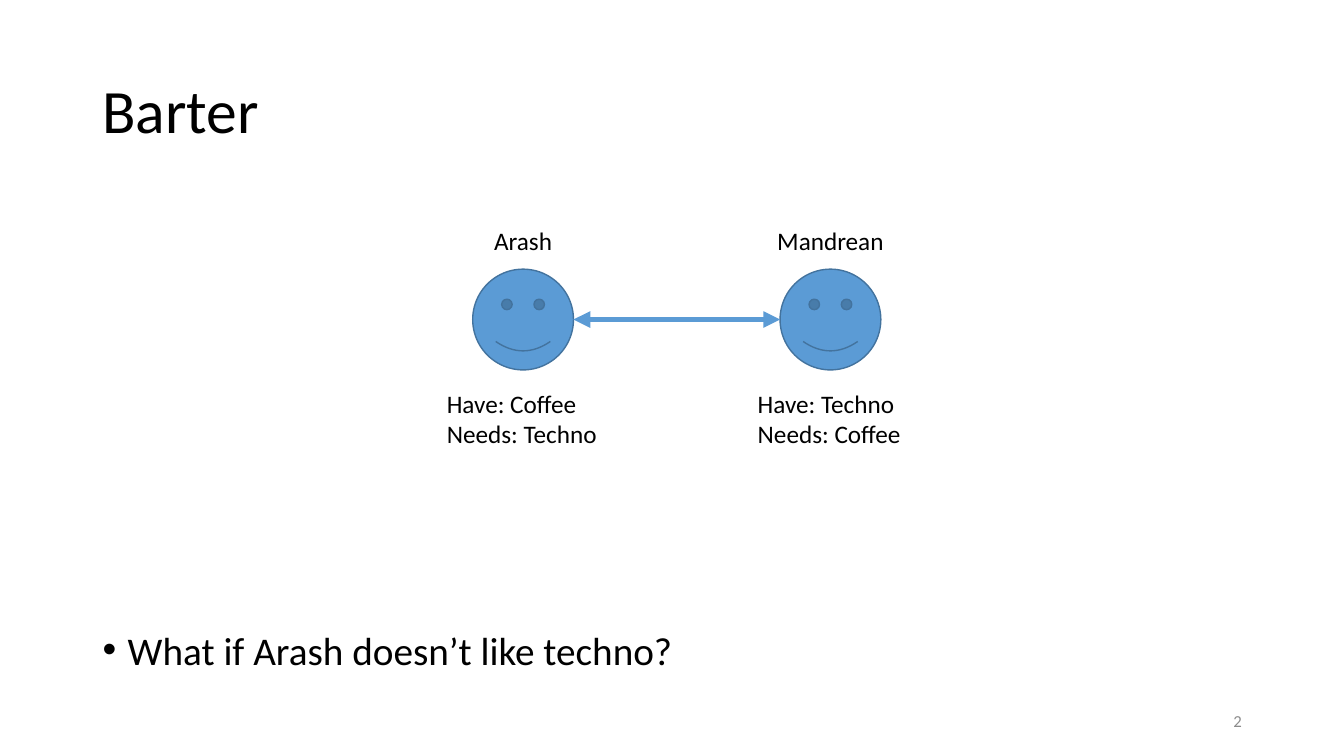
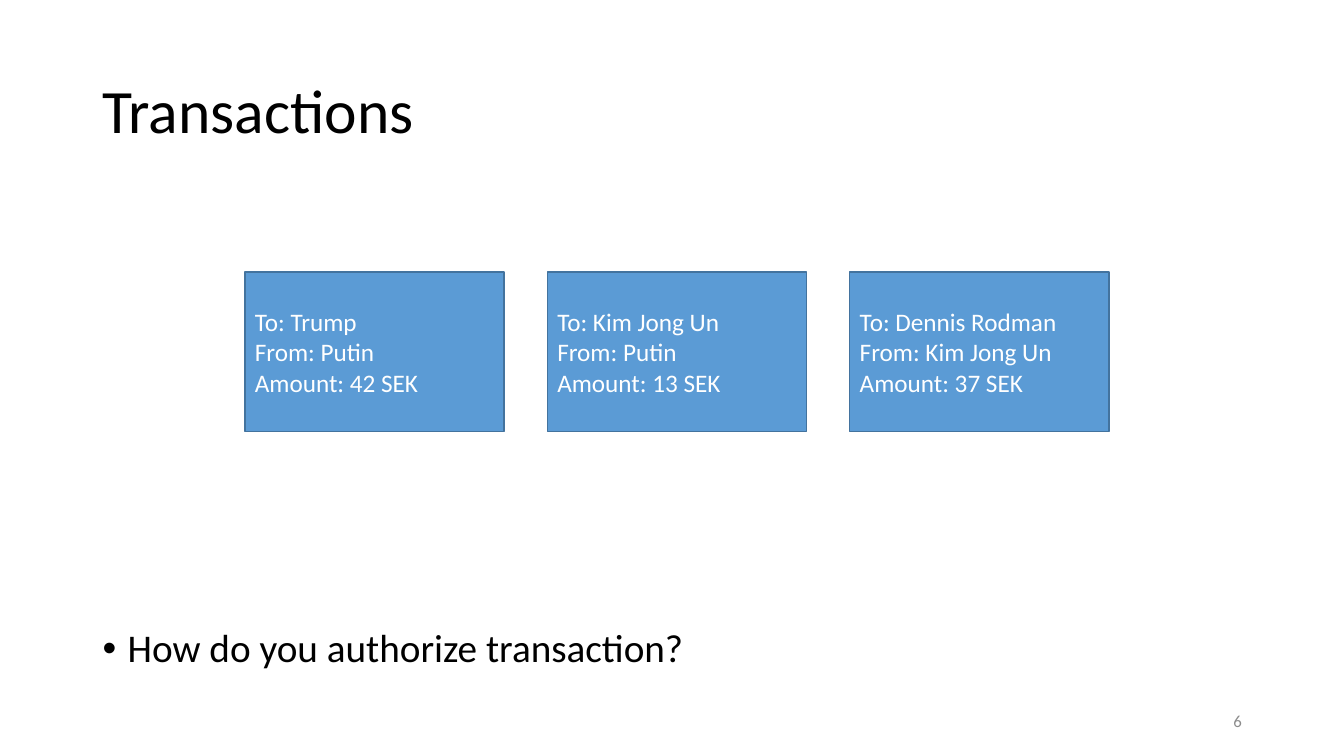
from lxml import etree
from pptx import Presentation
from pptx.dml.color import RGBColor
from pptx.enum.shapes import MSO_CONNECTOR, MSO_SHAPE
from pptx.enum.text import MSO_ANCHOR, MSO_AUTO_SIZE, PP_ALIGN
from pptx.oxml.ns import qn
from pptx.util import Inches, Pt

SMILEY, RECT = MSO_SHAPE.SMILEY_FACE, MSO_SHAPE.RECTANGLE
STRAIGHT = MSO_CONNECTOR.STRAIGHT
MIDDLE, TOP = MSO_ANCHOR.MIDDLE, MSO_ANCHOR.TOP
LEFT, CENTER, RIGHT = PP_ALIGN.LEFT, PP_ALIGN.CENTER, PP_ALIGN.RIGHT

FONT = "Calibri"
COLORS = {"text": "000000", "number": "8C8C8C", "fill": "5B9BD5",
          "line": "43739E", "light": "FFFFFF"}
rgb = {name: RGBColor.from_string(value) for name, value in COLORS.items()}

prs = Presentation()
prs.slide_width, prs.slide_height = Inches(13.33), Inches(7.5)


def box(left, top, width, height):
    """Turn percentages of the slide's size into lengths."""
    w, h = prs.slide_width, prs.slide_height
    return [int(share * size / 100)
            for share, size in zip((left, top, width, height), (w, h, w, h))]


def write(sp, lines, size, color="text", align=LEFT, anchor=TOP, spacing=1.0):
    """Fill a shape with one paragraph per line."""
    tf = sp.text_frame
    tf.word_wrap, tf.auto_size = True, MSO_AUTO_SIZE.NONE
    tf.vertical_anchor = anchor
    for i, line in enumerate(lines):
        p = tf.paragraphs[0] if i == 0 else tf.add_paragraph()
        p.alignment, p.line_spacing = align, spacing
        r = p.add_run()
        r.text = line
        r.font.name, r.font.size = FONT, Pt(size)
        r.font.color.rgb = rgb[color]
    return tf


# Title, question and number on every slide: question top, height, spacing
pages = [
    ("Barter", "What if Arash doesn’t like techno?", "2", 83.33, 6.8, 0.8),
    ("Transactions", "How do you authorize transaction?", "6", 82.53, 7.47, 0.9),
]
slides = []
for title, question, number, top, height, spacing in pages:
    s = prs.slides.add_slide(prs.slide_layouts[1])
    slides.append(s)

    sp = s.shapes.title
    sp.left, sp.top, sp.width, sp.height = box(6.88, 5.33, 86.25, 19.33)
    write(sp, [title], 44, anchor=MIDDLE, spacing=0.9)

    sp = s.placeholders[1]
    sp.left, sp.top, sp.width, sp.height = box(6.88, top, 86.25, height)
    p = write(sp, [question], 28, spacing=spacing).paragraphs[0]
    p.space_before = Pt(10)
    pPr = p._p.get_or_add_pPr()
    pPr.set("marL", str(Inches(0.25)))
    pPr.set("indent", str(Inches(-0.25)))
    etree.SubElement(pPr, qn("a:buFont")).set("typeface", "Arial")
    etree.SubElement(pPr, qn("a:buChar")).set("char", "•")

    sp = s.shapes.add_textbox(*box(70.65, 92.67, 22.5, 5.33))
    write(sp, [number], 12, "number", RIGHT, MIDDLE)

barter, transactions = slides

# Barter: two people with a name above and their goods below
people = [
    ("Arash", ["Have: Coffee", "Needs: Techno"], 12.83),
    ("Mandrean", ["Have: Techno", "Needs: Coffee"], 12.3),
]
FACE_LEFT, FACE_PITCH, FACE_W = 35.17, 22.87, 7.5
FACE_TOP, FACE_H = 35.6, 13.33
faces = []
for i, (name, goods, goods_w) in enumerate(people):
    left = FACE_LEFT + i * FACE_PITCH
    middle = left + FACE_W / 2
    face = barter.shapes.add_shape(SMILEY, *box(left, FACE_TOP, FACE_W, FACE_H))
    faces.append(face)

    sp = barter.shapes.add_textbox(*box(middle - 6, 29.2, 12, 5.33))
    write(sp, [name], 18, align=CENTER)
    sp = barter.shapes.add_textbox(*box(middle - goods_w / 2, 50.67, 15, 9.47))
    write(sp, goods, 18)

# Two-way arrow between the faces
a, b = faces
y = a.top + a.height // 2
arrow = barter.shapes.add_connector(STRAIGHT, a.left + a.width, y, b.left, y)
arrow.line.color.rgb = rgb["fill"]
arrow.line.width = Pt(4)
ln = arrow.line._get_or_add_ln()
for end in ("a:headEnd", "a:tailEnd"):
    etree.SubElement(ln, qn(end)).set("type", "triangle")
etree.SubElement(arrow._element.spPr, qn("a:effectLst"))

# Transactions: a row of three cards
payments = [
    ("Trump", "Putin", 42),
    ("Kim Jong Un", "Putin", 13),
    ("Dennis Rodman", "Kim Jong Un", 37),
]
CARD_LEFT, CARD_PITCH = 18.23, 22.5
cards = []
for i, (receiver, sender, amount) in enumerate(payments):
    left = CARD_LEFT + i * CARD_PITCH
    card = transactions.shapes.add_shape(RECT, *box(left, 36, 19.28, 21.07))
    cards.append(card)
    lines = [f"To: {receiver}", f"From: {sender}", f"Amount: {amount} SEK"]
    write(card, lines, 18, "light", anchor=MIDDLE)

# Shared look of faces and cards
for sp in faces + cards:
    sp.shadow.inherit = False
    sp.fill.solid()
    sp.fill.fore_color.rgb = rgb["fill"]
    sp.line.color.rgb = rgb["line"]
    sp.line.width = Pt(1)

prs.save("out.pptx")
